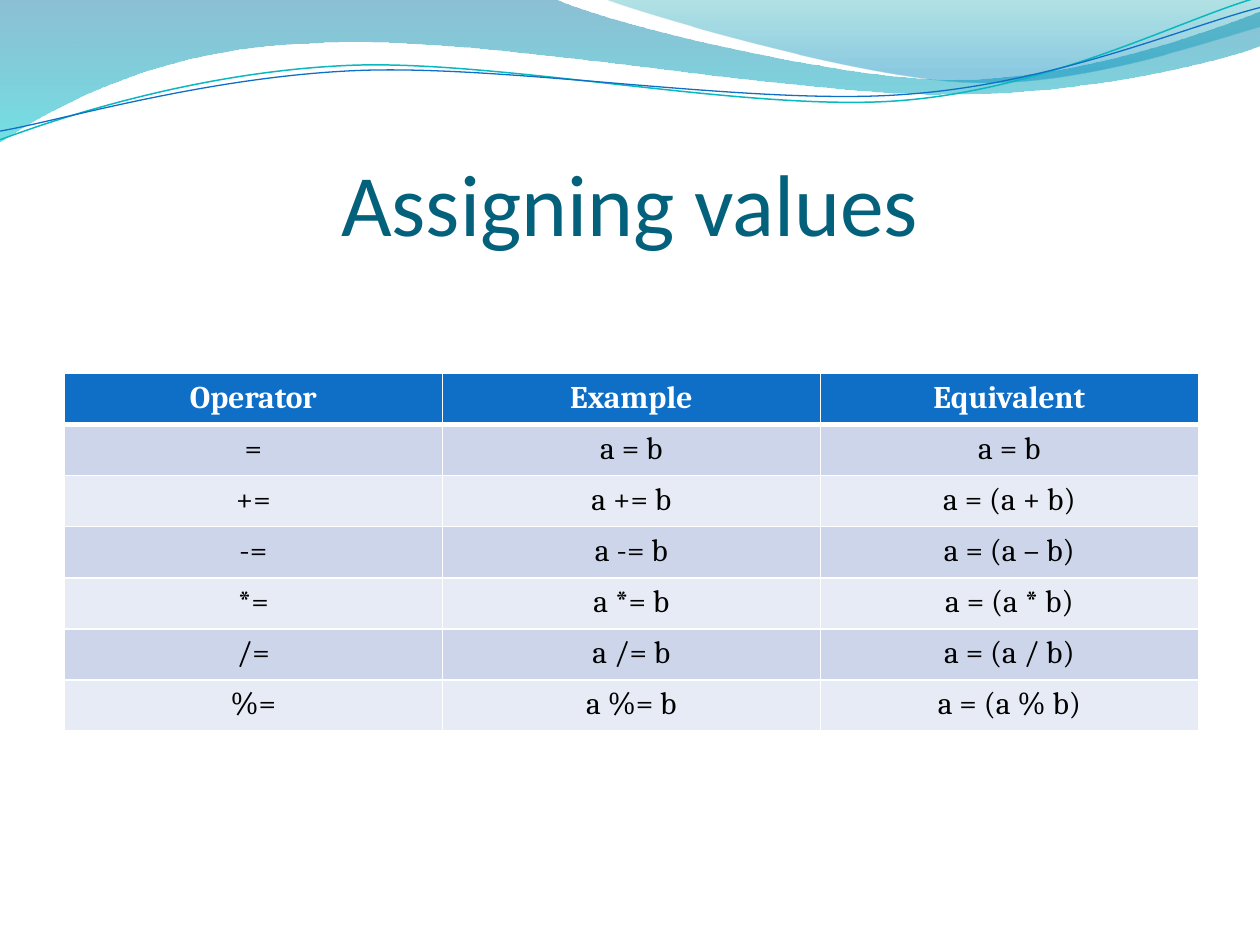
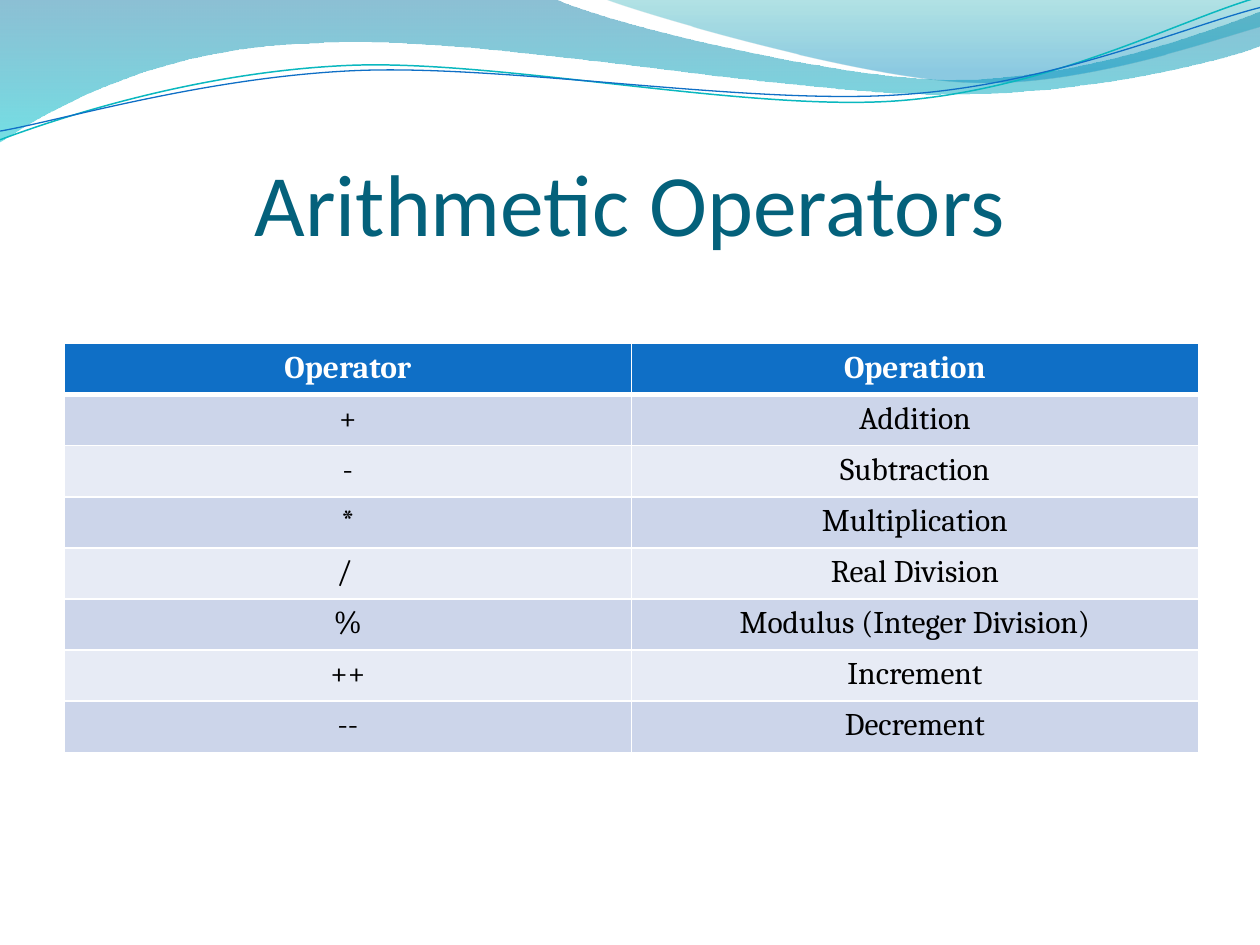
import pptx
import pptx.util
import pptx.dml.color
import pptx.enum.text
import pptx.oxml
import pptx.oxml.ns

Pt = pptx.util.Pt
qn = pptx.oxml.ns.qn
NS = pptx.oxml.ns.nsdecls("a")
BLUE, WHITE, BLACK, TEAL = "0F6FC6", "FFFFFF", "000000", "04617B"
BANDS = ["E7EBF5", "CCD5EA"]


def hue(code):
    return pptx.dml.color.RGBColor.from_string(code)


def say(frame, text, size=18, font="Cambria", color=BLACK, bold=False):
    para = frame.paragraphs[0]
    para.alignment = pptx.enum.text.PP_ALIGN.CENTER
    run = para.add_run()
    run.text = text
    run.font.size = Pt(size)
    run.font.name = font
    run.font.bold = bold
    run.font.color.rgb = hue(color)


waves = [
    {
        "start": (0, 0),
        "steps": [
            (316.8, -0.7),
            (342.7, 12.2, 478.1, 45.4, 545.8, 45.4),
            (614.2, 45.4, 689.8, 18.7, 720, 6.5),
            (720.7, 25.9),
            (707.8, 31.7, 626.4, 54.7, 537.1, 54),
            (446.4, 54, 275, 20.2, 185, 24.5),
            (92.9, 25.9, 33.1, 59.8, -0.7, 81.4),
        ],
        "stops": [(0, "0074A1", 45), (1, "00C6CF", 55)],
    },
    {
        "start": (344.9, -0.7),
        "steps": [
            (366.5, 7.9, 491, 44.6, 553.7, 46.8),
            (616.3, 49.7, 691.9, 23, 720, 15.1),
            (720, 0),
        ],
        "stops": [(0, "00A1A9", 30), (0.8, "008BBF", 45)],
    },
    {
        "start": (0, 79.9),
        "steps": [
            (34.6, 67, 113.8, 41, 199.4, 37.4),
            (284.4, 33.8, 427, 64.1, 513.4, 57.6),
            (599.8, 51.1, 675.4, 10.8, 718.6, -1.4),
        ],
        "line": ("0AB8BF", 0.85),
    },
    {
        "start": (0, 74.9),
        "steps": [
            (33.8, 69.1, 118.1, 43.9, 203.8, 40.3),
            (290.2, 36.7, 429.8, 60.5, 516.2, 54),
            (601.9, 48.2, 677.5, 15.1, 720, 4.3),
        ],
        "line": (BLUE, 0.75),
    },
]

pages = [
    ("Assigning values", 213.4, [
        ("Operator", "Example", "Equivalent"),
        ("=", "a = b", "a = b"),
        ("+=", "a += b", "a = (a + b)"),
        ("-=", "a -= b", "a = (a – b)"),
        ("*=", "a *= b", "a = (a * b)"),
        ("/=", "a /= b", "a = (a / b)"),
        ("%=", "a %= b", "a = (a % b)"),
    ]),
    ("Arithmetic Operators", 196.3, [
        ("Operator", "Operation"),
        ("+", "Addition"),
        ("-", "Subtraction"),
        ("*", "Multiplication"),
        ("/ ", "Real Division"),
        ("%", "Modulus (Integer Division)"),
        ("++", "Increment"),
        ("--", "Decrement"),
    ]),
]

deck = pptx.Presentation()
deck.slide_width, deck.slide_height = Pt(720), Pt(540)
slides = [deck.slides.add_slide(deck.slide_layouts[6]) for page in pages]

for mark, wave in enumerate(waves, 20):
    x, y = wave["start"]
    pen = slides[0].shapes.build_freeform(Pt(x), Pt(y))
    dots = [(Pt(step[k]), Pt(step[k + 1]))
            for step in wave["steps"] for k in range(0, len(step), 2)]
    pen.add_line_segments(dots, close="stops" in wave)
    shape = pen.convert_to_shape()
    shape.shadow.inherit = False

    legs = iter(list(shape._element.iter(qn("a:lnTo"))))
    for step in wave["steps"]:
        leg = next(legs)
        if len(step) == 6:
            curve = pptx.oxml.parse_xml(f"<a:cubicBezTo {NS}/>")
            leg.addprevious(curve)
            for part in [leg, next(legs), next(legs)]:
                curve.append(part[0])
                part.getparent().remove(part)

    if "stops" in wave:
        shape.fill.gradient()
        shape.fill.gradient_angle = 270
        for stop, (place, code, alpha) in zip(shape.fill.gradient_stops, wave["stops"]):
            stop.position = place
            stop.color.rgb = hue(code)
        tints = shape._element.spPr.iter(qn("a:srgbClr"))
        for tint, (place, code, alpha) in zip(tints, wave["stops"]):
            tint.append(pptx.oxml.parse_xml(f'<a:alpha {NS} val="{alpha * 1000}"/>'))
        shape.line.fill.background()
    else:
        code, width = wave["line"]
        shape.fill.background()
        shape.line.color.rgb = hue(code)
        shape.line.width = Pt(width)
    shape._element.nvSpPr.cNvPr.set("id", str(mark))
    deck.slide_master.shapes._spTree.append(shape._element)

for slide, (title, top, rows) in zip(slides, pages):
    frame = slide.shapes.add_textbox(Pt(36), Pt(55.4), Pt(648), Pt(90)).text_frame
    frame.word_wrap = True
    frame.vertical_anchor = pptx.enum.text.MSO_ANCHOR.BOTTOM
    frame.margin_left = frame.margin_right = frame.margin_bottom = Pt(0)
    frame.margin_top = Pt(3.6)
    say(frame, title, size=50, font="Calibri", color=TEAL)

    count = len(rows[0])
    table = slide.shapes.add_table(len(rows), count, Pt(36.8), Pt(top),
                                   Pt(648), Pt(29.2 * len(rows))).table
    table.horz_banding = False
    for col in table.columns:
        col.width = Pt(648 / count)
    for i, row in enumerate(rows):
        table.rows[i].height = Pt(29.2)
        head = i == 0
        for j, text in enumerate(row):
            cell = table.cell(i, j)
            props = cell._tc.get_or_add_tcPr()
            for side in "LRTB":
                thick = (i, side) in [(0, "B"), (1, "T")]
                props.append(pptx.oxml.parse_xml(
                    f'<a:ln{side} {NS} w="{Pt(3 if thick else 1)}"><a:solidFill>'
                    f'<a:srgbClr val="{WHITE}"/></a:solidFill></a:ln{side}>'))
            cell.fill.solid()
            cell.fill.fore_color.rgb = hue(BLUE if head else BANDS[i % 2])
            say(cell.text_frame, text, color=WHITE if head else BLACK, bold=head)

deck.save("out.pptx")
